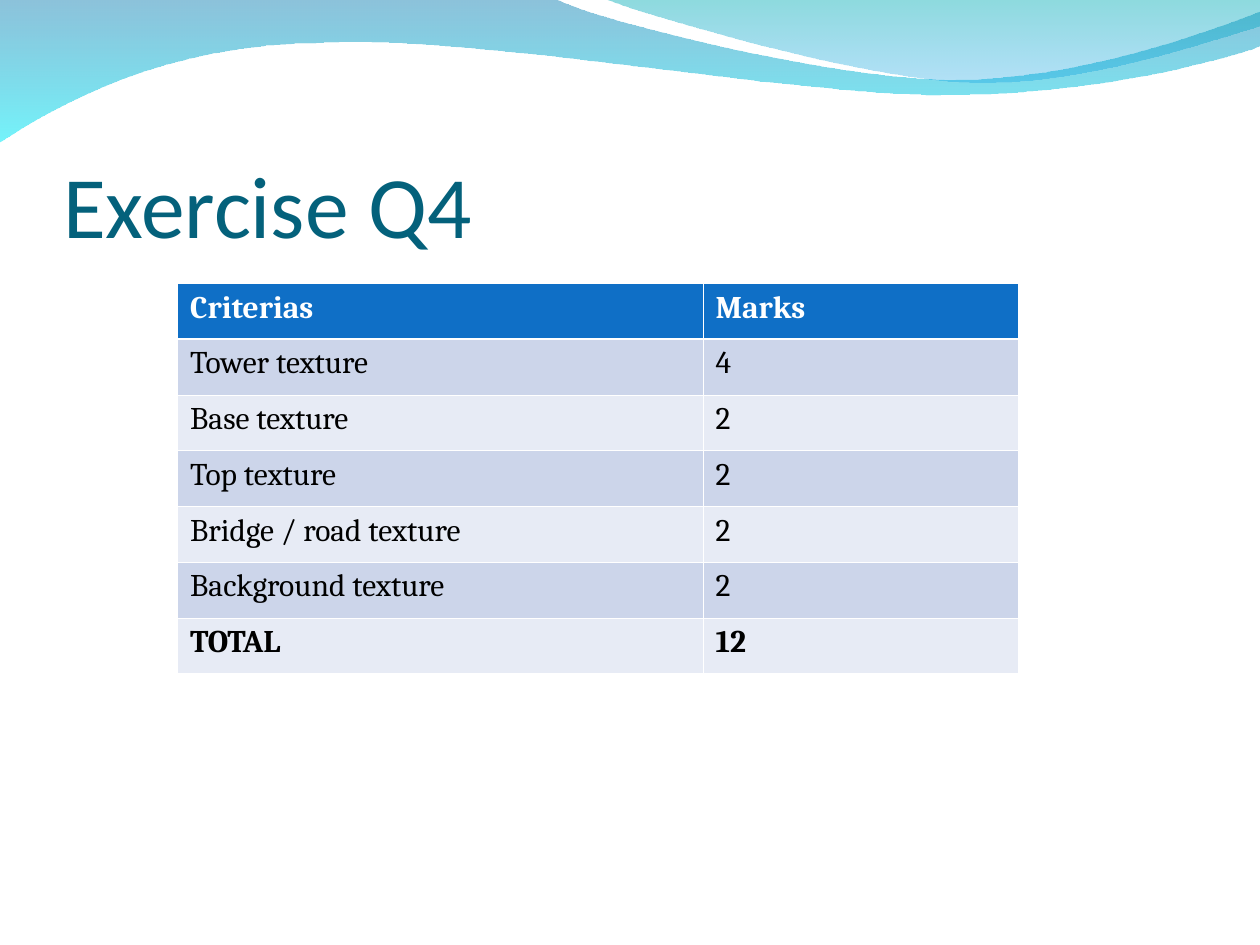
from lxml.etree import SubElement
from pptx import Presentation
from pptx.dml.color import RGBColor
from pptx.enum.text import MSO_ANCHOR as Anchor, PP_ALIGN as Align
from pptx.oxml.ns import qn
from pptx.util import Inches, Pt

TITLE = "Exercise Q4"
MARKS = [
    ("Criterias", "Marks"),
    ("Tower texture", "4"),
    ("Base texture", "2"),
    ("Top texture", "2"),
    ("Bridge / road texture", "2"),
    ("Background texture", "2"),
    ("TOTAL", "12"),
]
COLORS = {
    "title": "04617B", "header": "0F6FC6", "header_text": "FFFFFF",
    "odd": "CCD5EA", "even": "E7EBF5", "text": "000000", "border": "FFFFFF",
}
COLUMN_WIDTHS = (4.17, 2.5)
TABLE_HEIGHT = 3.1

# Outlines in inches: one point is a line end, three are a Bézier segment.
# Gradient stops run from top to bottom: colour, opacity in percent.
WAVES = [
    {"start": (0, -0.01),
     "segments": [[(4.4, -0.01)],
                  [(4.76, 0.17), (6.64, 0.63), (7.58, 0.63)],
                  [(8.53, 0.63), (9.58, 0.26), (10, 0.09)],
                  [(10.01, 0.36)],
                  [(9.83, 0.44), (8.7, 0.76), (7.46, 0.75)],
                  [(6.22, 0.75), (3.82, 0.28), (2.57, 0.34)],
                  [(1.29, 0.35), (0.46, 0.83), (-0.01, 1.13)],
                  [(0, -0.01)]],
     "stops": [("0079AF", 45), ("00EBF8", 55)]},
    {"start": (4.79, -0.01),
     "segments": [[(5.09, 0.11), (6.82, 0.62), (7.69, 0.65)],
                  [(8.56, 0.69), (9.61, 0.32), (10, 0.21)],
                  [(10, 0)],
                  [(4.79, -0.01)]],
     "stops": [("00ADB6", 45), ("009BE5", 30)]},
]


def bend(wave, segments):
    """Join the three straight steps of each Bézier segment into one curve."""
    steps = iter(list(wave._element.spPr.iter(qn("a:lnTo"))))
    for segment in segments:
        lines = [next(steps) for _ in segment]
        if len(lines) == 3:
            curve = lines[0].makeelement(qn("a:cubicBezTo"), {})
            lines[0].addprevious(curve)
            for line in lines:
                curve.append(line[0])
                line.getparent().remove(line)


def add_wave(slide, start, segments, stops):
    builder = slide.shapes.build_freeform(*map(Inches, start), scale=1.0)
    points = [tuple(map(Inches, point)) for segment in segments for point in segment]
    builder.add_line_segments(points, close=True)
    wave = builder.convert_to_shape()
    bend(wave, segments)
    wave.shadow.inherit = False
    wave.line.fill.background()
    wave.fill.gradient()
    wave.fill.gradient_angle = 270
    for stop, (color, _) in zip(wave.fill.gradient_stops, stops):
        stop.color.rgb = RGBColor.from_string(color)
    for node, (_, opacity) in zip(wave._element.spPr.iter(qn("a:srgbClr")), stops):
        SubElement(node, qn("a:alpha"), val=str(opacity * 1000))


def write(frame, text, font, size, color, bold=False):
    paragraph = frame.paragraphs[0]
    paragraph.alignment = Align.LEFT
    run = paragraph.add_run()
    run.text = text
    for key, value in {"name": font, "size": Pt(size), "bold": bold}.items():
        setattr(run.font, key, value)
    run.font.color.rgb = RGBColor.from_string(COLORS[color])


def set_borders(cell, widths):
    """Draw the cell's edges; widths maps L, R, T and B to points."""
    properties = cell._tc.get_or_add_tcPr()
    for index, (side, width) in enumerate(widths.items()):
        edge = properties.makeelement(qn(f"a:ln{side}"), {"w": str(Pt(width))})
        SubElement(SubElement(edge, qn("a:solidFill")), qn("a:srgbClr"),
                   val=COLORS["border"])
        properties.insert(index, edge)


def add_title(slide):
    title = slide.shapes.title
    title.left, title.top, title.width, title.height = map(Inches, (0.5, 0.78, 9, 1.25))
    frame = title.text_frame
    margins = {"margin_left": 0, "margin_right": 0,
               "margin_top": Inches(0.05), "margin_bottom": 0}
    for key, value in {**margins, "vertical_anchor": Anchor.BOTTOM}.items():
        setattr(frame, key, value)
    write(frame, TITLE, "Calibri", 50, "title")
    slide.shapes._spTree.append(title._element)


def add_marks_table(slide):
    size = (sum(COLUMN_WIDTHS), TABLE_HEIGHT)
    table = slide.shapes.add_table(len(MARKS), len(COLUMN_WIDTHS),
                                   *map(Inches, (1.41, 2.25, *size))).table
    for column, width in zip(table.columns, COLUMN_WIDTHS):
        column.width = Inches(width)
    for r, row in enumerate(MARKS):
        table.rows[r].height = Inches(TABLE_HEIGHT / len(MARKS))
        header = r == 0
        band = "header" if header else "odd" if r % 2 else "even"
        edges = {"L": 0.45, "R": 0.45,
                 "T": 1.47 if r == 1 else 0.45, "B": 1.47 if header else 0.45}
        for c, text in enumerate(row):
            cell = table.cell(r, c)
            cell.fill.solid()
            cell.fill.fore_color.rgb = RGBColor.from_string(COLORS[band])
            write(cell.text_frame, text, "Cambria", 18,
                  "header_text" if header else "text",
                  bold=header or r == len(MARKS) - 1)
            set_borders(cell, edges)


def main():
    deck = Presentation()
    deck.slide_width, deck.slide_height = Inches(10), Inches(7.5)
    slide = deck.slides.add_slide(deck.slide_layouts[5])
    for wave in WAVES:
        add_wave(slide, **wave)
    add_title(slide)
    add_marks_table(slide)
    deck.save("out.pptx")


if __name__ == "__main__":
    main()
